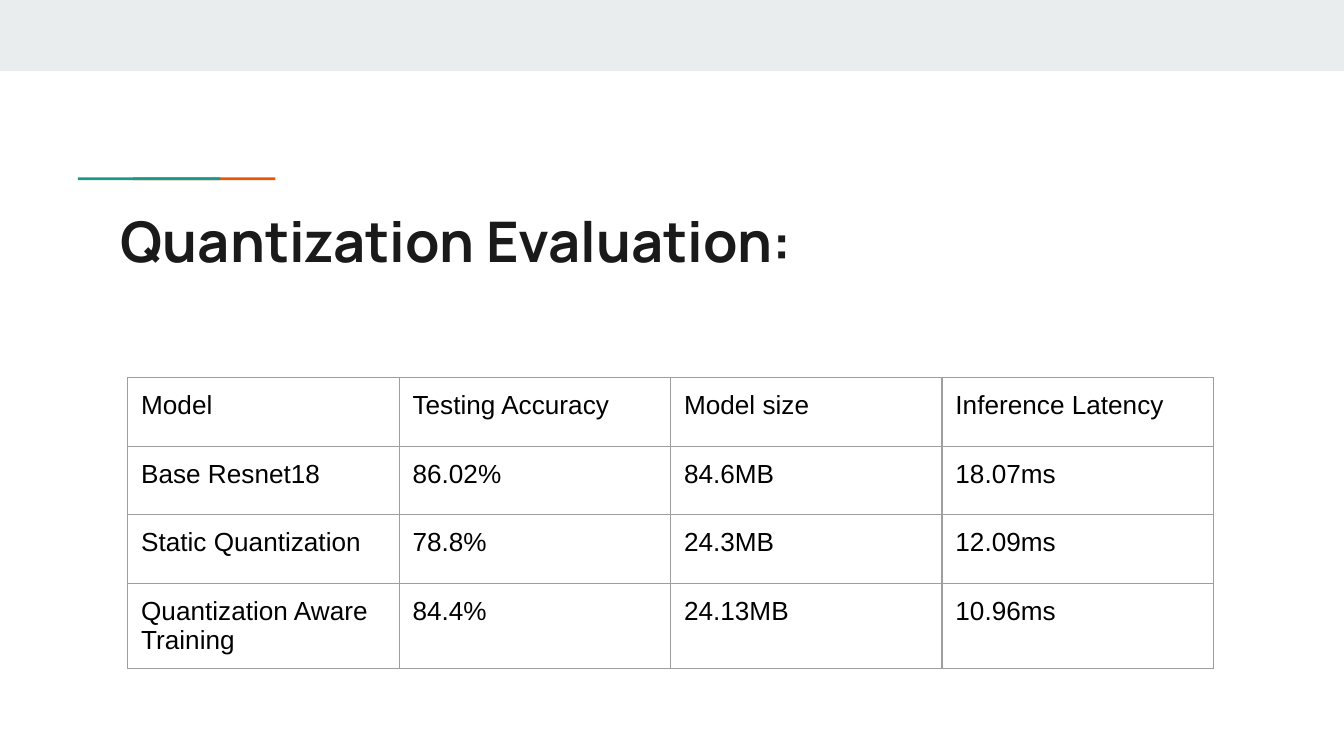
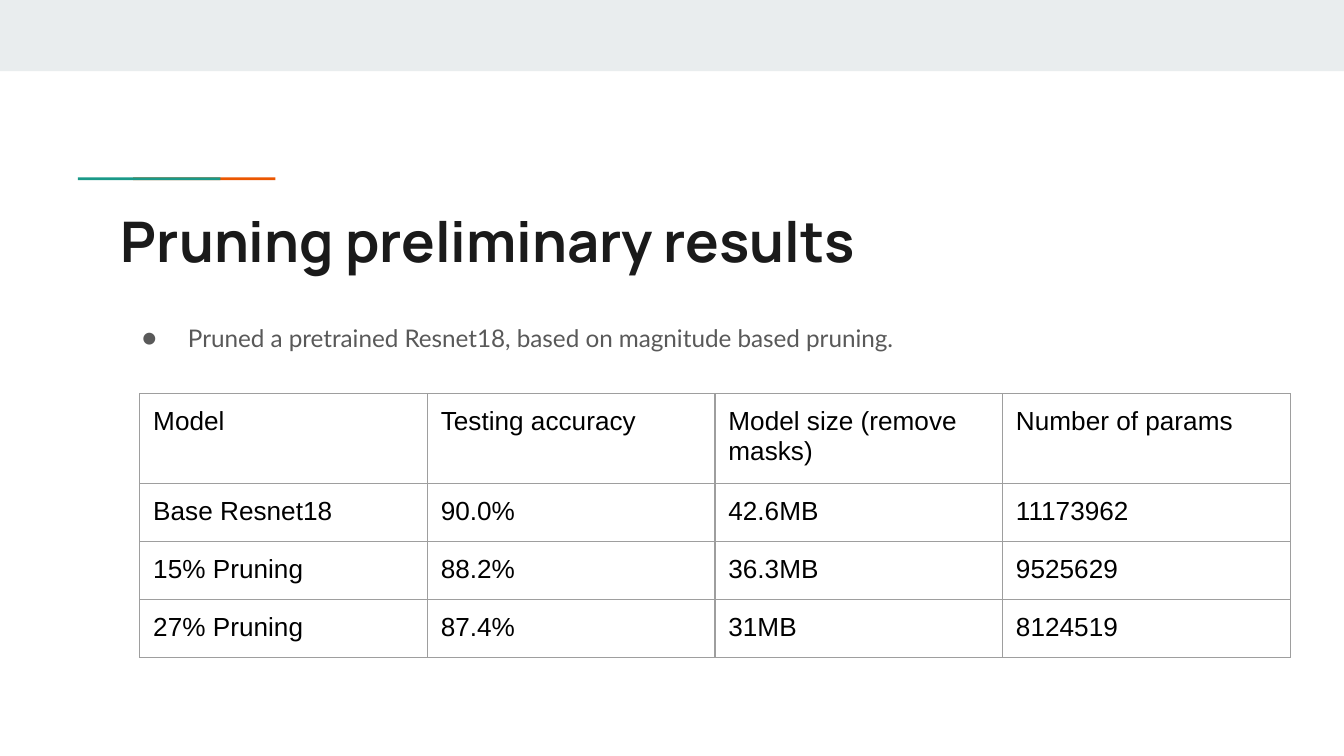
import pptx
import pptx.util
import pptx.dml.color
import pptx.enum.shapes
import pptx.enum.text
import pptx.oxml
import pptx.oxml.ns

Inches = pptx.util.Inches
Pt = pptx.util.Pt

BAND, ORANGE, TEAL = "E9EDEE", "EB5600", "1A9988"
TITLE, BODY, BLACK, GRID = "1A1A1A", "595959", "000000", "9E9E9E"

DECORATIONS = [
    (BAND, 0, 0, 10, 0.53),
    (ORANGE, 0.99, 1.32, 1.06, 0.02),
    (TEAL, 0.58, 1.32, 1.06, 0.02),
]

SLIDES = [
    {
        "title": "Quantization Evaluation:",
        "bullets": [],
        "at": (0.95, 2.81),
        "col_width": 2.02,
        "row_heights": [0.51, 0.51, 0.51, 0.51],
        "rows": [
            ("Model", "Testing Accuracy", "Model size", "Inference Latency"),
            ("Base Resnet18", "86.02%", "84.6MB", "18.07ms"),
            ("Static Quantization", "78.8%", "24.3MB", "12.09ms"),
            ("Quantization Aware Training", "84.4%", "24.13MB", "10.96ms"),
        ],
    },
    {
        "title": "Pruning preliminary results",
        "bullets": ["Pruned a pretrained Resnet18, based on magnitude based pruning."],
        "at": (1.04, 2.93),
        "col_width": 2.14,
        "row_heights": [0.67, 0.43, 0.43, 0.43],
        "rows": [
            ("Model", "Testing accuracy", "Model size (remove masks)", "Number of params"),
            ("Base Resnet18", "90.0%", "42.6MB", "11173962"),
            ("15% Pruning", "88.2%", "36.3MB", "9525629"),
            ("27% Pruning", "87.4%", "31MB", "8124519"),
        ],
    },
]


def rgb(value):
    return pptx.dml.color.RGBColor.from_string(value)


def xml(markup):
    ns = pptx.oxml.ns.nsdecls("a")
    return pptx.oxml.parse_xml(markup.replace(" ", f" {ns} ", 1))


def place(shape, *box):
    shape.left, shape.top, shape.width, shape.height = map(Inches, box)


def write(p, text, font="Arial", size=14, color=BLACK, bold=False):
    r = p.add_run()
    r.text = text
    r.font.name = font
    r.font.size = Pt(size)
    r.font.bold = bold
    r.font.color.rgb = rgb(color)


def prepare(tf):
    tf.word_wrap = True
    tf.auto_size = pptx.enum.text.MSO_AUTO_SIZE.NONE
    tf.vertical_anchor = pptx.enum.text.MSO_ANCHOR.TOP
    tf.margin_left = tf.margin_right = tf.margin_top = tf.margin_bottom = Inches(0.1)


def add_decorations(s):
    for color, *box in DECORATIONS:
        sp = s.shapes.add_shape(pptx.enum.shapes.MSO_SHAPE.RECTANGLE, *map(Inches, box))
        sp.shadow.inherit = False
        sp.fill.solid()
        sp.fill.fore_color.rgb = rgb(color)
        sp.line.fill.background()


def add_title(s, text):
    sp = s.shapes.title
    place(sp, 0.8, 1.44, 8.41, 0.59)
    prepare(sp.text_frame)
    p = sp.text_frame.paragraphs[0]
    p.alignment = pptx.enum.text.PP_ALIGN.LEFT
    p.line_spacing = 1.0
    write(p, text, font="Manrope", size=30, color=TITLE, bold=True)


def add_bullets(s, bullets):
    tf = s.shapes.add_textbox(*map(Inches, (0.8, 2.27, 8.41, 2.47))).text_frame
    prepare(tf)
    for i, text in enumerate(bullets):
        p = tf.add_paragraph() if i else tf.paragraphs[0]
        p.line_spacing = 1.15
        pPr = p._p.get_or_add_pPr()
        pPr.set("marL", str(Inches(0.5)))
        pPr.set("indent", str(Inches(-0.34)))
        pPr.append(xml(f'<a:buClr ><a:srgbClr val="{BODY}"/></a:buClr>'))
        pPr.append(xml('<a:buFont typeface="Lato"/>'))
        pPr.append(xml('<a:buChar char="●"/>'))
        write(p, text, font="Lato", size=13, color=BODY)


def add_borders(cell):
    tcPr = cell._tc.get_or_add_tcPr()
    for i, side in enumerate(("lnL", "lnR", "lnT", "lnB")):
        tcPr.insert(i, xml(
            f'<a:{side} w="{Pt(0.75)}"><a:solidFill><a:srgbClr val="{GRID}"/>'
            f"</a:solidFill></a:{side}>"))


def add_table(s, rows, at, col_width, row_heights):
    cols = len(rows[0])
    size = (col_width * cols, sum(row_heights))
    table = s.shapes.add_table(len(rows), cols, *map(Inches, at + size)).table
    table.first_row = table.horz_banding = False
    for col in table.columns:
        col.width = Inches(col_width)
    for row, height, texts in zip(table.rows, row_heights, rows):
        row.height = Inches(height)
        for cell, text in zip(row.cells, texts):
            cell.fill.background()
            cell.margin_left = cell.margin_right = Inches(0.1)
            cell.margin_top = cell.margin_bottom = Inches(0.1)
            add_borders(cell)
            write(cell.text_frame.paragraphs[0], text)


def main():
    prs = pptx.Presentation()
    prs.slide_width = Inches(10)
    prs.slide_height = prs.slide_width * 9 // 16
    for content in SLIDES:
        s = prs.slides.add_slide(prs.slide_layouts[5])
        add_decorations(s)
        add_title(s, content["title"])
        if content["bullets"]:
            add_bullets(s, content["bullets"])
        add_table(s, content["rows"], content["at"], content["col_width"], content["row_heights"])
    prs.save("out.pptx")


if __name__ == "__main__":
    main()
